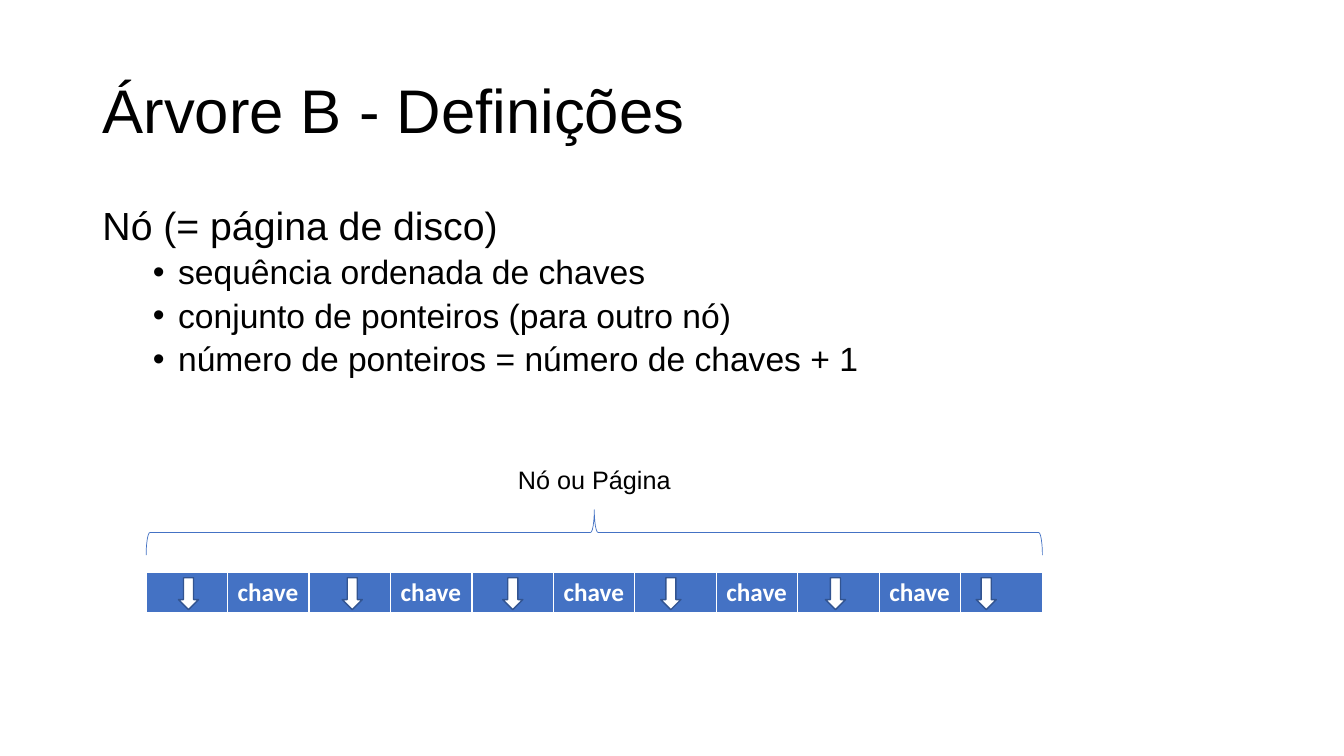
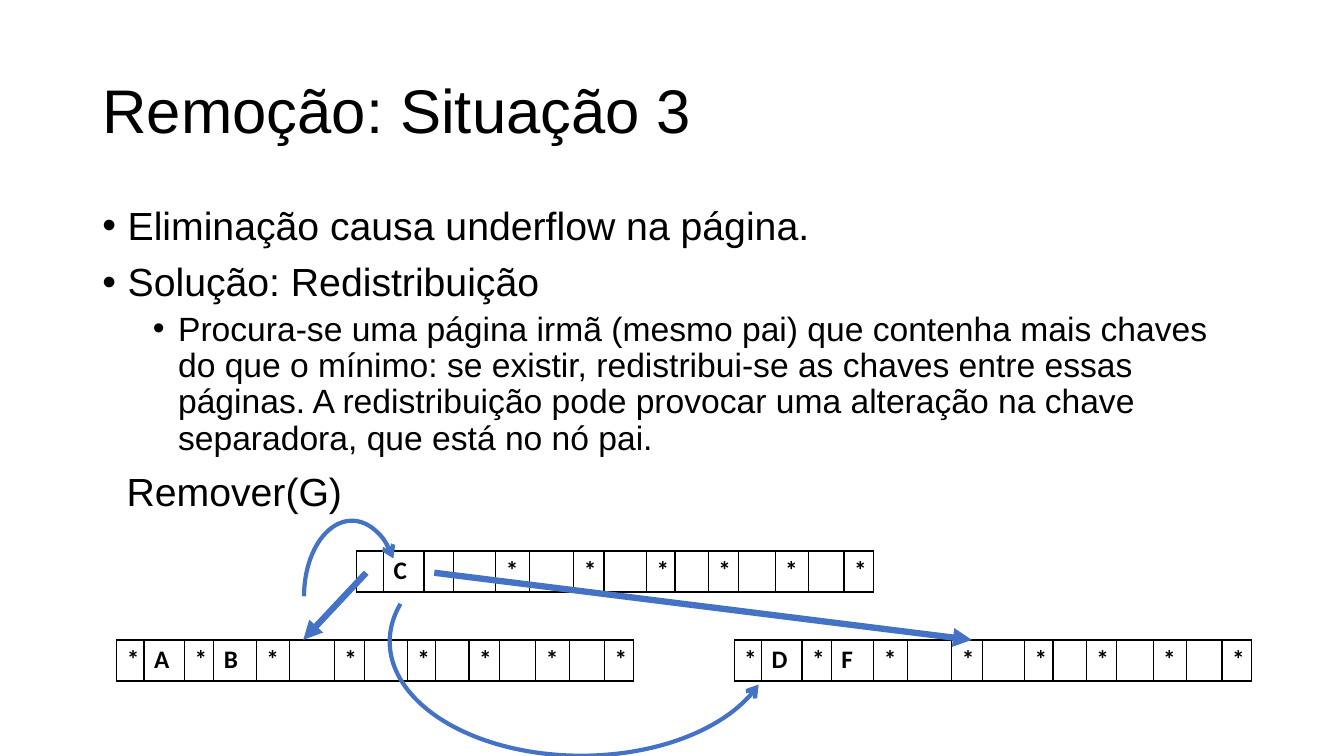
from lxml import etree
from pptx import Presentation
from pptx.dml.color import RGBColor
from pptx.enum import shapes, text
from pptx.oxml.ns import qn
from pptx.util import Inches, Pt

HUES = {"ink": "000000", "white": "FFFFFF", "blue": "4472C4", "edge": "325491"}
COLS = 160
HEAD = (11, 4.8, 138, 17.4)
ROW = 4.9

deck = Presentation()
deck.slide_width, deck.slide_height = Inches(13.33), Inches(7.5)
UNIT = deck.slide_width / COLS


# Shared helpers: every box is left, top, width, height in grid columns
def grid(*spans):
    return [round(n * UNIT) for n in spans]


def hue(name):
    return RGBColor.from_string(HUES[name])


def put(part, box):
    part.left, part.top, part.width, part.height = grid(*box)


def write(para, words, size, font="Arial", tint="ink", bold=False):
    run = para.add_run()
    run.text = words
    run.font.size, run.font.name, run.font.bold = Pt(size), font, bold
    run.font.color.rgb = hue(tint)


def stroke(part, tint, width, tip=None):
    part.line.color.rgb = hue(tint)
    part.line.width = Pt(width)
    props = part._element.spPr
    if tip:
        etree.SubElement(props.find(qn("a:ln")), qn("a:tailEnd"), type=tip)
    if props.find(qn("a:effectLst")) is None:
        etree.SubElement(props, qn("a:effectLst"))


def draw(slide, kind, box, tint, width, fill=None, tip=None):
    part = slide.shapes.add_shape(kind, *grid(*box))
    part.shadow.inherit = False
    if fill:
        part.fill.solid()
        part.fill.fore_color.rgb = hue(fill)
    else:
        part.fill.background()
    stroke(part, tint, width, tip)
    return part


def label(slide, box, words, size, align=text.PP_ALIGN.LEFT):
    frame = slide.shapes.add_textbox(*grid(*box)).text_frame
    frame.word_wrap = False
    frame.auto_size = text.MSO_AUTO_SIZE.SHAPE_TO_FIT_TEXT
    frame.paragraphs[0].alignment = align
    write(frame.paragraphs[0], words, size)


# Title and list; each item is level, bullet, words
def page(title, items, box):
    slide = deck.slides.add_slide(deck.slide_layouts[1])
    head, body = slide.shapes.title, slide.placeholders[1]
    put(head, HEAD)
    put(body, box)
    for part in (head, body):
        part.text_frame.auto_size = text.MSO_AUTO_SIZE.NONE
    head.text_frame.vertical_anchor = text.MSO_ANCHOR.MIDDLE
    para = head.text_frame.paragraphs[0]
    para.alignment, para.line_spacing = text.PP_ALIGN.LEFT, 0.9
    write(para, title, 44)

    frame = body.text_frame
    for i, (level, dot, words) in enumerate(items):
        para = frame.add_paragraph() if i else frame.paragraphs[0]
        para.level, para.line_spacing = level, 0.9
        para.space_before = Pt(5 if level else 10)
        props = para._p.get_or_add_pPr()
        inset = 0.25 + level * 0.5 if dot else 0
        props.set("marL", str(Inches(inset)))
        props.set("indent", str(Inches(-0.25 if dot else 0)))
        if dot:
            etree.SubElement(props, qn("a:buChar"), char="•")
        else:
            etree.SubElement(props, qn("a:buNone"))
        write(para, words, 24 if level else 28)
    return slide


# One-row table; edges gives tint and widths for left, right, top, bottom
def strip(slide, box, words, parts, tint, edges, fill=None):
    frame = slide.shapes.add_table(1, len(words), *grid(*box))
    table = frame.table
    table.first_row = table.horz_banding = False
    for col, part in zip(table.columns, parts):
        col.width = round(box[2] * part / sum(parts) * UNIT)
    for cell, word in zip(table.rows[0].cells, words):
        props = cell._tc.get_or_add_tcPr()
        for side, width in zip("LRTB", edges[1]):
            line = etree.SubElement(props, qn("a:ln" + side), w=str(Pt(width)))
            paint = etree.SubElement(line, qn("a:solidFill"))
            etree.SubElement(paint, qn("a:srgbClr"), val=HUES[edges[0]])
        if fill:
            cell.fill.solid()
            cell.fill.fore_color.rgb = hue(fill)
        else:
            cell.fill.background()
        if word:
            write(cell.text_frame.paragraphs[0], word, 18, "Calibri", tint, True)


# Disk page: label, brace, keys and pointers
def node(slide, box):
    x, y, w, h = box
    top = y + h - ROW
    keys = [("", "chave")[i % 2] for i in range(11)]
    strip(slide, (x, top, w, ROW), keys, [1] * 11, "white",
          ("white", (1, 1, 1, 3)), "blue")
    step = w / len(keys)
    for i, share in enumerate((0.52, 0.53, 0.5, 0.44, 0.46, 0.31)):
        mid = x + (2 * i + share) * step
        draw(slide, shapes.MSO_SHAPE.DOWN_ARROW, (mid - 1.2, top + 0.6, 2.4, 3.8),
             "edge", 1, "white")
    # The brace is turned about its centre
    depth, mid = 5.4, x + w / 2
    brace = draw(slide, shapes.MSO_SHAPE.RIGHT_BRACE,
                 (mid - depth / 2, y + 8.7 - w / 2, depth, w), "blue", 0.5)
    brace.rotation = 270
    label(slide, (mid - 10.4, y, 20.8, 4.8), "Nó ou Página", 18,
          text.PP_ALIGN.CENTER)


# Tree: a root, two leaves and the moves between them
def tree(slide, box):
    x, y, w, h = box
    wide, leaf = 61.6, y + 10.6
    parts = (27, 40, 29, 42, 33, 44, 30, 42, 28, 33, 30, 36, 33, 35, 29)
    tail = ["*", ""] * 5 + ["*"]
    for left, top, lead in (
        (x + 28.5, y, ["", "C", "", ""]),
        (x, leaf, ["*", "A", "*", "B"]),
        (x + w - wide, leaf, ["*", "D", "*", "F"]),
    ):
        strip(slide, (left, top, wide, ROW), lead + tail, parts, "ink",
              ("ink", (1, 1, 1, 1)))
    for start, end in ((29.7, 22.2), (37.8, 101.8)):
        link = slide.shapes.add_connector(
            shapes.MSO_CONNECTOR.STRAIGHT,
            *grid(x + start, y + 2.6, x + end, leaf))
        stroke(link, "blue", 4.5, "triangle")
    label(slide, (x, y - 10.5, 28.4, 6.8), "Remover(G)", 28)

    # Curved moves
    rise = draw(slide, shapes.MSO_SHAPE.ARC, (x + 19, y - 0.3, 18, 11.4),
                "blue", 3, tip="arrow")
    rise.rotation = 270
    drop = draw(slide, shapes.MSO_SHAPE.ARC, (x + 32.5, y - 2.8, 45.6, h),
                "blue", 3, tip="arrow")
    drop._element.spPr.find(qn("a:xfrm")).set("flipV", "1")
    for arc, ends in ((rise, (162, 28.6)), (drop, (100.93, 207.81))):
        arc.adjustments[0], arc.adjustments[1] = ends


# Slides
first = page("Árvore B - Definições", [
    (0, False, "Nó (= página de disco)"),
    (1, True, "sequência ordenada de chaves"),
    (1, True, "conjunto de ponteiros (para outro nó)"),
    (1, True, "número de ponteiros = número de chaves + 1"),
], (11, 24, 138, 27.7))
node(first, (17.4, 54.7, 106.7, 18.4))

second = page("Remoção: Situação 3", [
    (0, True, "Eliminação causa underflow na página."),
    (0, True, "Solução: Redistribuição"),
    (1, True, "Procura-se uma página irmã (mesmo pai) que contenha mais chaves "
              "do que o mínimo: se existir, redistribui-se as chaves entre essas "
              "páginas. A redistribuição pode provocar uma alteração na chave "
              "separadora, que está no nó pai."),
], (11, 24, 138, 31.7))
tree(second, (13.9, 65.6, 135.1, 27.2))

deck.save("out.pptx")
